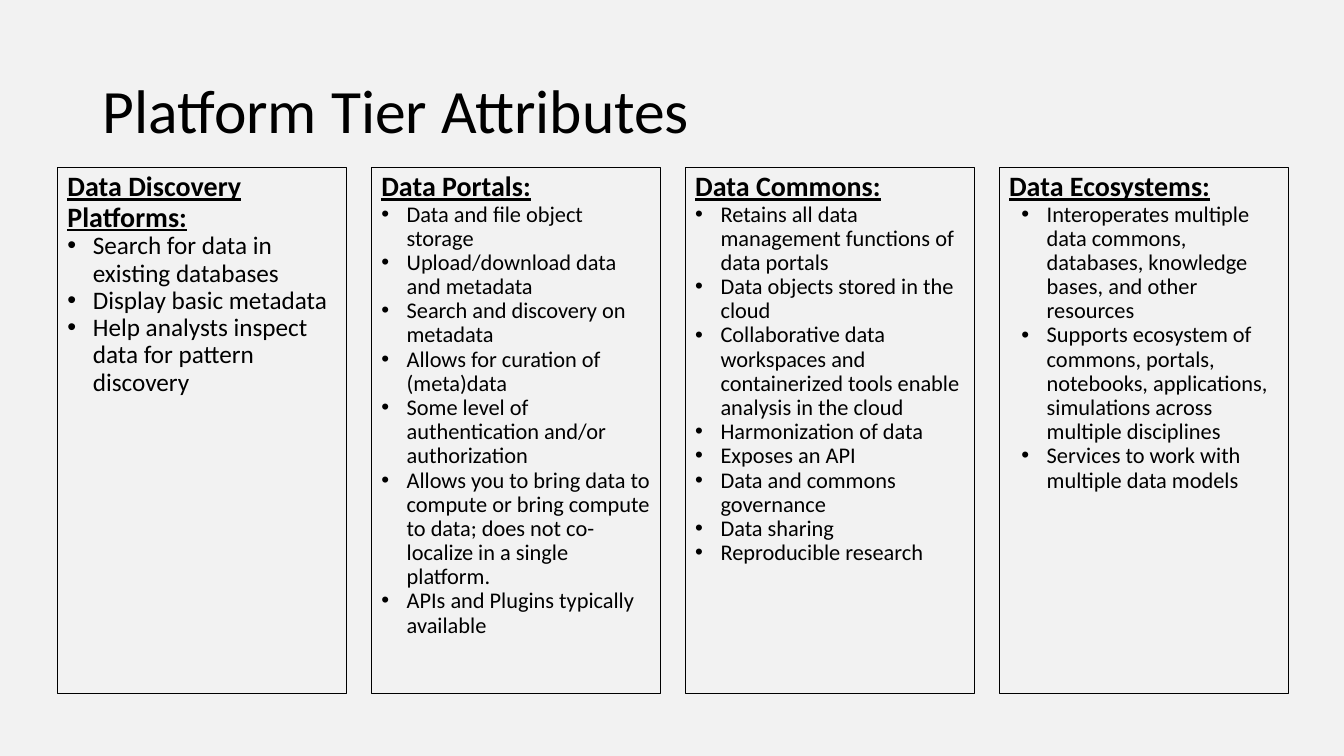
"""Build the slide that compares the attributes of four platform tiers."""
from dataclasses import dataclass

from lxml import etree
from pptx import Presentation
from pptx.dml.color import RGBColor
from pptx.enum.shapes import MSO_SHAPE
from pptx.enum.text import MSO_ANCHOR, MSO_AUTO_SIZE, PP_ALIGN
from pptx.oxml.ns import qn
from pptx.util import Cm, Pt

RECT = MSO_SHAPE.RECTANGLE
TOP, MIDDLE = MSO_ANCHOR.TOP, MSO_ANCHOR.MIDDLE
LEFT = PP_ALIGN.LEFT
NO_FIT = MSO_AUTO_SIZE.NONE


@dataclass(frozen=True)
class Theme:
    """Colours, font and type sizes of the slide."""
    background: RGBColor = RGBColor(0xF2, 0xF2, 0xF2)
    ink: RGBColor = RGBColor(0, 0, 0)
    font: str = "Calibri"
    title: int = 44
    heading: int = 20
    large: int = 18
    small: int = 16
    border: float = 0.75


THEME = Theme()
TITLE_BOX = (2.34, 1.02, 29.21, 3.68)
TIERS_BOX = (1.45, 4.22, 31.02, 13.26)
TIER_WIDTH = 7.29
HANGING = 0.64

TIERS = [
    ("Data Discovery Platforms:", THEME.large, 0.64, [
        "Search for data in existing databases",
        "Display basic metadata",
        "Help analysts inspect data for pattern discovery",
    ]),
    ("Data Portals:", THEME.small, 0.64, [
        "Data and file object storage",
        "Upload/download data and metadata",
        "Search and discovery on metadata",
        "Allows for curation of (meta)data",
        "Some level of authentication and/or authorization",
        "Allows you to bring data to compute or bring compute to data; "
        "does not co-localize in a single platform.",
        "APIs and Plugins typically available",
    ]),
    ("Data Commons:", THEME.small, 0.64, [
        "Retains all data management functions of data portals",
        "Data objects stored in the cloud",
        "Collaborative data workspaces and containerized tools enable "
        "analysis in the cloud",
        "Harmonization of data",
        "Exposes an API",
        "Data and commons governance",
        "Data sharing",
        "Reproducible research",
    ]),
    ("Data Ecosystems:", THEME.small, 0.95, [
        "Interoperates multiple data commons, databases, knowledge bases, "
        "and other resources",
        "Supports ecosystem of commons, portals, notebooks, applications, "
        "simulations across multiple disciplines",
        "Services to work with multiple data models",
    ]),
]


def set_attributes(target, values):
    """Set every attribute named in a dict of format values."""
    for name, value in values.items():
        setattr(target, name, value)


def place(s, box):
    """Move and size a shape to a box in centimetres."""
    names = ("left", "top", "width", "height")
    set_attributes(s, dict(zip(names, map(Cm, box))))


def format_frame(tf, anchor):
    """Give a text frame its wrapping, fit, anchor and margins."""
    set_attributes(tf, {
        "word_wrap": True, "auto_size": NO_FIT, "vertical_anchor": anchor,
        "margin_left": Cm(0.25), "margin_right": Cm(0.25),
        "margin_top": Cm(0.13), "margin_bottom": Cm(0.13),
    })


def write_paragraph(p, text, size, **font):
    """Write one left-aligned paragraph in the theme font."""
    set_attributes(p, {"alignment": LEFT, "line_spacing": 0.9,
                       "space_before": Pt(0), "space_after": Pt(0)})
    r = p.add_run()
    r.text = text
    set_attributes(r.font, {"name": THEME.font, "size": Pt(size), **font})
    r.font.color.rgb = THEME.ink


def set_bullet(p, indent=None):
    """Hang a bullet at an indent, or remove it when none is given."""
    pPr = p._p.get_or_add_pPr()
    bulleted = indent is not None
    pPr.set("marL", str(Cm(indent) if bulleted else 0))
    pPr.set("indent", str(-Cm(HANGING) if bulleted else 0))
    if bulleted:
        etree.SubElement(pPr, qn("a:buFont")).set("typeface", "Arial")
        etree.SubElement(pPr, qn("a:buChar")).set("char", "•")
    else:
        etree.SubElement(pPr, qn("a:buNone"))


def build_title(s, box):
    """Fill the title placeholder inside its box."""
    place(s, box)
    format_frame(s.text_frame, MIDDLE)
    write_paragraph(s.text_frame.paragraphs[0], "Platform Tier Attributes",
                    THEME.title)


def build_tier(s, box, tier):
    """Fill one outlined column with a heading and its bullets."""
    heading, size, indent, items = tier
    place(s, box)
    s.fill.background()
    s.line.color.rgb = THEME.ink
    s.line.width = Pt(THEME.border)
    tf = s.text_frame
    format_frame(tf, TOP)
    p = tf.paragraphs[0]
    write_paragraph(p, heading, THEME.heading, bold=True, underline=True)
    set_bullet(p)
    for item in items:
        p = tf.add_paragraph()
        write_paragraph(p, item, size)
        set_bullet(p, indent)


def build_tiers(slide, box):
    """Spread the tier columns evenly across the box."""
    left, top, width, height = box
    pitch = (width - TIER_WIDTH) / (len(TIERS) - 1)
    for i, tier in enumerate(TIERS):
        column = (left + i * pitch, top, TIER_WIDTH, height)
        if i == 0:
            s = slide.placeholders[1]
        else:
            s = slide.shapes.add_shape(RECT, *map(Cm, column))
            s.shadow.inherit = False
        build_tier(s, column, tier)


def main():
    """Create the presentation and save it."""
    prs = Presentation()
    prs.slide_width, prs.slide_height = Cm(33.87), Cm(19.05)
    slide = prs.slides.add_slide(prs.slide_layouts[1])
    slide.background.fill.solid()
    slide.background.fill.fore_color.rgb = THEME.background
    build_title(slide.shapes.title, TITLE_BOX)
    build_tiers(slide, TIERS_BOX)
    prs.save("out.pptx")


main()
